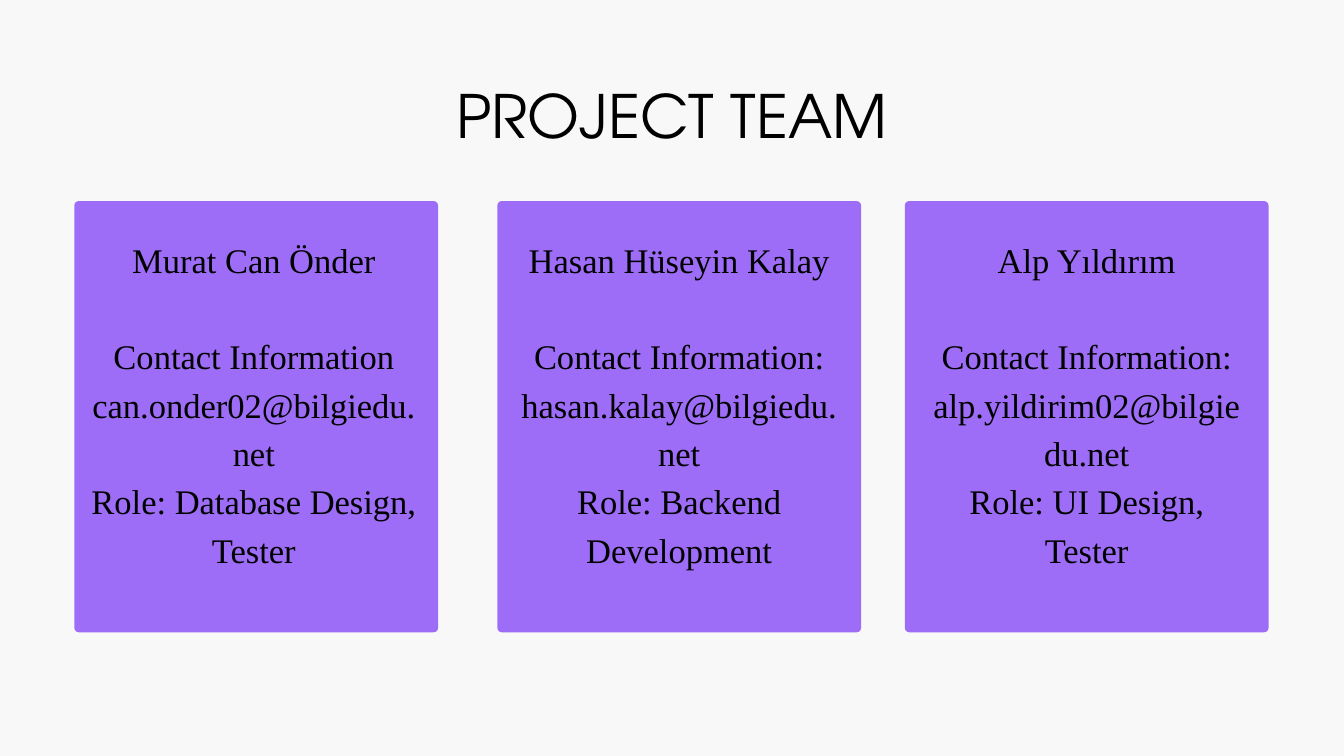
from pptx import Presentation
from pptx import util as u
from pptx.dml.color import RGBColor
from pptx.enum import shapes, text

COLORS = {"background": "F8F8F8", "card": "9E6DF7", "ink": "000000"}
HEADING_FONT, BODY_FONT = "TeX Gyre Adventor", "Times New Roman"
CARD_TOP, CARD_WIDTH, CARD_HEIGHT, CARD_RADIUS = 7.6, 13.75, 16.3, 0.17
DETAILS_TOP, DETAILS_HEIGHT, LINE_HEIGHT = 8.76, 14.73, 51.8


def prepare_frame(frame):
    frame.margin_left = frame.margin_right = 0
    frame.margin_top = frame.margin_bottom = 0
    frame.word_wrap = True
    frame.auto_size = text.MSO_AUTO_SIZE.NONE
    frame.vertical_anchor = text.MSO_ANCHOR.TOP


def write_line(paragraph, words, font, size, line_height):
    paragraph.alignment = text.PP_ALIGN.CENTER
    paragraph.line_spacing = u.Pt(line_height)
    run = paragraph.add_run()
    run.text = words
    run.font.name = font
    run.font.size = u.Pt(size)
    run.font.color.rgb = RGBColor.from_string(COLORS["ink"])


deck = Presentation()
deck.slide_width, deck.slide_height = u.Cm(50.8), u.Cm(28.575)
slide = deck.slides.add_slide(deck.slide_layouts[5])
slide.background.fill.solid()
slide.background.fill.fore_color.rgb = RGBColor.from_string(COLORS["background"])

# Heading
heading = slide.shapes.title
heading.left, heading.top = u.Cm(7.04), u.Cm(2.51)
heading.width, heading.height = u.Cm(36.7), u.Cm(3.02)
prepare_frame(heading.text_frame)
write_line(heading.text_frame.paragraphs[0], "PROJECT TEAM", HEADING_FONT, 64, 89.6)

# Members: card left, details left, details width, lines
members = [
    (2.81, 3.23, 12.73, ["Murat Can Önder", "Contact Information",
                         "can.onder02@bilgiedu.net", "Role: Database Design, Tester"]),
    (18.8, 19.41, 12.52, ["Hasan Hüseyin Kalay", "Contact Information:",
                          "hasan.kalay@bilgiedu.net", "Role: Backend Development"]),
    (34.2, 35.03, 12.09, ["Alp Yıldırım", "Contact Information:",
                          "alp.yildirim02@bilgiedu.net", "Role: UI Design,", "Tester"]),
]

for card_left, details_left, details_width, lines in members:
    # Card
    card = slide.shapes.add_shape(
        shapes.MSO_SHAPE.ROUNDED_RECTANGLE,
        u.Cm(card_left), u.Cm(CARD_TOP), u.Cm(CARD_WIDTH), u.Cm(CARD_HEIGHT))
    card.adjustments[0] = CARD_RADIUS / CARD_WIDTH
    card.shadow.inherit = False
    card.fill.solid()
    card.fill.fore_color.rgb = RGBColor.from_string(COLORS["card"])
    card.line.fill.background()

    # Name, contact and role
    details = slide.shapes.add_textbox(
        u.Cm(details_left), u.Cm(DETAILS_TOP),
        u.Cm(details_width), u.Cm(DETAILS_HEIGHT)).text_frame
    prepare_frame(details)
    for row, words in enumerate(lines):
        paragraph = details.add_paragraph() if row else details.paragraphs[0]
        if row == 1:  # one line of air below the name
            paragraph.space_before = u.Pt(LINE_HEIGHT)
        write_line(paragraph, words, BODY_FONT, 37, LINE_HEIGHT)

deck.save("out.pptx")
